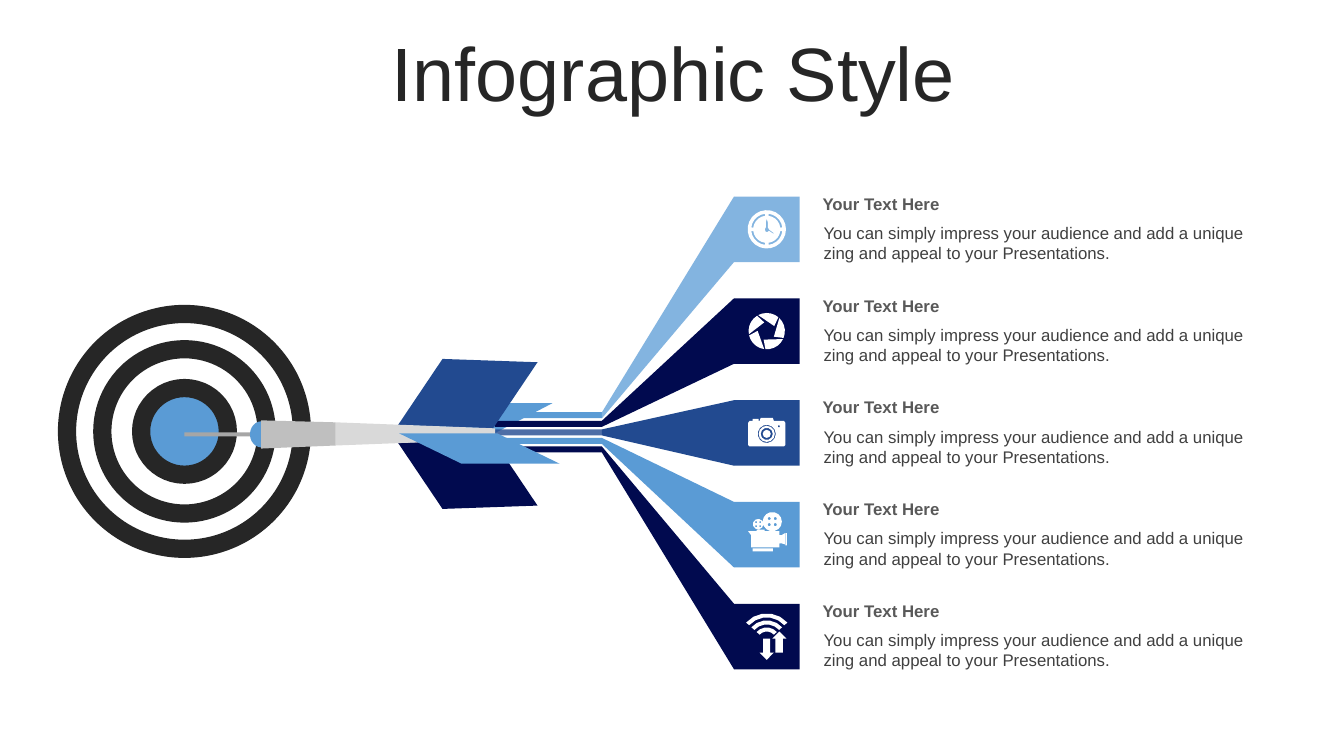
from dataclasses import dataclass
from math import cos, radians, sin

from lxml import etree
from pptx import Presentation
from pptx.dml.color import RGBColor
from pptx.enum.shapes import MSO_SHAPE
from pptx.enum.text import MSO_ANCHOR, PP_ALIGN
from pptx.oxml.ns import qn
from pptx.util import Inches, Pt

RECTANGLE, OVAL = MSO_SHAPE.RECTANGLE, MSO_SHAPE.OVAL
PARALLELOGRAM, CHORD = MSO_SHAPE.PARALLELOGRAM, MSO_SHAPE.CHORD
MIDDLE, CENTER = MSO_ANCHOR.MIDDLE, PP_ALIGN.CENTER


@dataclass(frozen=True)
class Theme:
    font: str = "Arial"
    title_size: int = 54
    text_size: int = 12
    ring_width: int = 13
    white: str = "FFFFFF"
    ink: str = "262626"
    body: str = "404040"
    heading: str = "595959"
    sky: str = "83B4E0"
    blue: str = "5A9BD5"
    royal: str = "224A90"
    navy: str = "010A4F"
    tip: str = "A6A6A6"
    barrel: str = "BFBFBF"
    shaft: str = "D9D9D9"


THEME = Theme()
HEADING = "Your Text Here"
BODY = ("You can simply impress your audience and add a unique "
        "zing and appeal to your Presentations.")
ROW_TOP, ROW_PITCH = 1.95, 1.01
SQUARE_LEFT, SQUARE_SIZE = 7.28, 0.65
BAR_LEFT, BAR_RIGHT, BAR_TOP = 4.91, 5.97, 4.09
BAR_PITCH, BAR_HEIGHT = 0.085, 0.06


def paint(shape, color):
    shape.shadow.inherit = False
    shape.fill.solid()
    shape.fill.fore_color.rgb = RGBColor.from_string(color)
    shape.line.fill.background()
    return shape


def add_preset(slide, kind, box, color, adjustments=(), rotation=0, flip=False):
    shape = slide.shapes.add_shape(kind, *map(Inches, box))
    for index, value in enumerate(adjustments):
        shape.adjustments[index] = value
    shape.rotation = rotation
    if flip:
        shape._element.spPr.xfrm.set("flipH", "1")
    return paint(shape, color)


def add_outline(slide, contours, color):
    """Draw closed contours as one shape; a contour inside another is a hole."""
    first, *others = [[(Inches(x), Inches(y)) for x, y in contour]
                      for contour in contours]
    builder = slide.shapes.build_freeform(*first[0])
    builder.add_line_segments(first[1:], close=True)
    for contour in others:
        builder.move_to(*contour[0])
        builder.add_line_segments(contour[1:], close=True)
    return paint(builder.convert_to_shape(), color)


def add_text(slide, box, text, size, color, bold=False):
    frame = slide.shapes.add_textbox(*map(Inches, box)).text_frame
    frame.word_wrap = True
    paragraph = frame.paragraphs[0]
    paragraph.text = text
    font = paragraph.font
    font.name, font.size, font.bold = THEME.font, Pt(size), bold
    font.color.rgb = RGBColor.from_string(color)
    return frame


def set_opacity(shape, percent):
    color = shape._element.spPr.find(qn("a:solidFill"))[0]
    etree.SubElement(color, qn("a:alpha")).set("val", str(percent * 1000))


# Icon contours are in hundredths of an inch from the middle of the square.
def arc(x, y, radius, start, end, steps=5):
    angles = [radians(start + (end - start) * i / steps) for i in range(steps + 1)]
    return [(x + radius * cos(a), y + radius * sin(a)) for a in angles]


def circle(x, y, radius):
    return arc(x, y, radius, 0, 360, round(4 + radius))[:-1]


def band(x, y, outer, inner, start, end):
    return arc(x, y, outer, start, end) + arc(x, y, inner, end, start)


def box_contour(left, top, right, bottom):
    return [(left, top), (right, top), (right, bottom), (left, bottom)]


def clock_icon():
    hands = [(0, -10.5), (-1, -7), (-1, -2), (-2, 0), (-1, 2.5), (1, 2.5),
             (2, 1.5), (6, 4), (7.5, 4), (2.5, 0.5), (1, -2), (1, -7)]
    groove = [band(0, 0, 15.5, 13.5, turn + 7, turn + 83)
              for turn in range(0, 360, 90)]
    return [circle(0, 0, 19), *groove, hands]


def shutter_icon():
    def blade(start):
        inner_angle = radians(start + 84)
        return arc(0, 0, 18, start, start + 68) + [(9 * cos(inner_angle), 9 * sin(inner_angle))]
    return [blade(turn - 118) for turn in range(0, 360, 72)]


def camera_icon():
    body = [(-6, -15), (6, -15), (7, -12), (17, -12), (18.5, -10), (18.5, 12),
            (17, 13.5), (-17, 13.5), (-18.5, 12), (-18.5, -10), (-17, -12),
            (-14, -12), (-14, -14), (-8, -14), (-8, -12), (-7, -12)]
    lens = [circle(0, 1, radius) for radius in (9, 8, 6, 4)]
    return [body, *lens, circle(12, -6.5, 1.2)]


def film_icon():
    body = [(-18.5, -3.5), (12.5, -3.5), (12.5, 0.5), (14.5, 0.5), (18, -1.5),
            (18, 9.5), (14.5, 8.5), (12.5, 8.5), (12.5, 12.5), (-15.5, 12.5),
            (-15.5, 0.5)]
    contours = [body, box_contour(-14, 13.5, 6, 16.5),
                box_contour(18.5, -1.5, 20, 10.5), box_contour(-10, -5, -2, -3.5)]
    for x, y, radius, gap, hole in ((5.5, -13, 9.5, 3, 1.6), (-8.5, -10.5, 5.2, 2, 1.1)):
        contours.append(circle(x, y, radius))
        contours += [circle(x + dx, y + dy, hole)
                     for dx in (-gap, gap) for dy in (-gap, gap)]
    return contours


def wireless_icon():
    waves = [band(0, 4.5, radius, radius - 4, -138, -42)
             for radius in (27.5, 20.5, 13.5)]
    up = [(12.5, -5), (19.5, 2), (16, 2), (16, 16), (8.5, 16), (8.5, 2), (5.5, 2)]
    down = [(-3.5, 2), (3.5, 2), (3.5, 16), (7, 16), (0, 23), (-7, 16), (-3.5, 16)]
    return [*waves, up, down]


def add_icon(slide, contours, center_x, center_y):
    placed = [[(center_x + x / 100, center_y + y / 100) for x, y in contour]
              for contour in contours]
    add_outline(slide, placed, THEME.white)


def add_target(slide):
    for diameter, color in ((2.33, THEME.white), (1.63, THEME.white), (0.86, THEME.blue)):
        box = (1.83 - diameter / 2, 4.28 - diameter / 2, diameter, diameter)
        ring = add_preset(slide, OVAL, box, color)
        ring.line.color.rgb = RGBColor.from_string(THEME.ink)
        ring.line.width = Pt(THEME.ring_width)


def add_dart(slide):
    add_preset(slide, RECTANGLE, (1.83, 4.29, 0.8, 0.04), THEME.tip)
    add_preset(slide, PARALLELOGRAM, (3.96, 4.37, 1.36, 0.67), THEME.navy, [0.623], 358, True)
    add_preset(slide, PARALLELOGRAM, (3.96, 3.57, 1.36, 0.67), THEME.royal, [0.623], 2)
    add_outline(slide, [[(3.33, 4.19), (4.91, 4.25), (4.91, 4.36), (3.33, 4.42)]], THEME.shaft)
    add_preset(slide, CHORD, (2.48, 4.18, 0.23, 0.26), THEME.blue, [53.912, 162])
    add_outline(slide, [[(2.59, 4.17), (3.33, 4.19), (3.33, 4.42), (2.59, 4.45)]], THEME.barrel)
    add_preset(slide, PARALLELOGRAM, (3.96, 4.3, 1.59, 0.3), THEME.blue, [2.059], flip=True)


def add_row(slide, top, color, icon):
    add_text(slide, (8.07, top + 0.21, 4.44, 0.5), BODY, THEME.text_size, THEME.body)
    add_text(slide, (8.06, top - 0.08, 4.4, 0.3), HEADING, THEME.text_size, THEME.heading, True)
    add_preset(slide, RECTANGLE, (SQUARE_LEFT, top, SQUARE_SIZE, SQUARE_SIZE), color)
    add_icon(slide, icon, SQUARE_LEFT + SQUARE_SIZE / 2, top + SQUARE_SIZE / 2)


def add_ribbon(slide, top, bar_top, color):
    add_outline(slide, [[(BAR_RIGHT, bar_top), (SQUARE_LEFT, top),
                         (SQUARE_LEFT, top + SQUARE_SIZE),
                         (BAR_RIGHT, bar_top + BAR_HEIGHT)]], color)


def main():
    presentation = Presentation()
    presentation.slide_width, presentation.slide_height = Inches(13.33), Inches(7.5)
    slide = presentation.slides.add_slide(presentation.slide_layouts[6])

    title = add_text(slide, (0.35, 0.37, 12.66, 0.79), "Infographic Style",
                     THEME.title_size, THEME.ink)
    title.vertical_anchor = MIDDLE
    title.paragraphs[0].alignment = CENTER
    title.paragraphs[0].line_spacing = 0.9

    add_target(slide)
    add_preset(slide, PARALLELOGRAM, (3.95, 4, 1.53, 0.3), THEME.blue, [1.922])
    rows = [(THEME.sky, THEME.blue, clock_icon()),
            (THEME.navy, THEME.navy, shutter_icon()),
            (THEME.royal, THEME.royal, camera_icon()),
            (THEME.blue, THEME.blue, film_icon()),
            (THEME.navy, THEME.navy, wireless_icon())]
    for index, (color, bar_color, icon) in enumerate(rows):
        top, bar_top = ROW_TOP + index * ROW_PITCH, BAR_TOP + index * BAR_PITCH
        add_row(slide, top, color, icon)
        bar = add_preset(slide, RECTANGLE, (BAR_LEFT, bar_top, BAR_RIGHT - BAR_LEFT, BAR_HEIGHT),
                         bar_color)
        if index == 2:
            set_opacity(bar, 80)
        add_ribbon(slide, top, bar_top, color)
    add_dart(slide)
    presentation.save("out.pptx")


if __name__ == "__main__":
    main()
